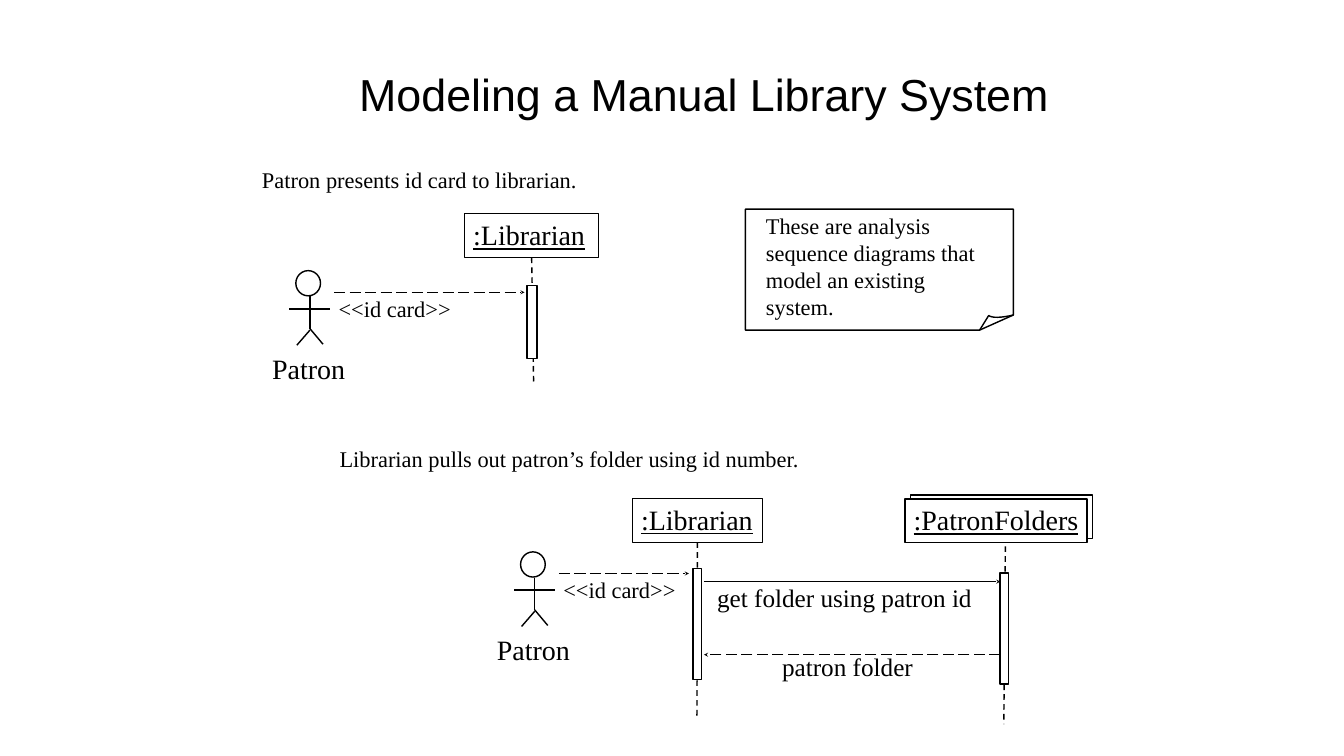
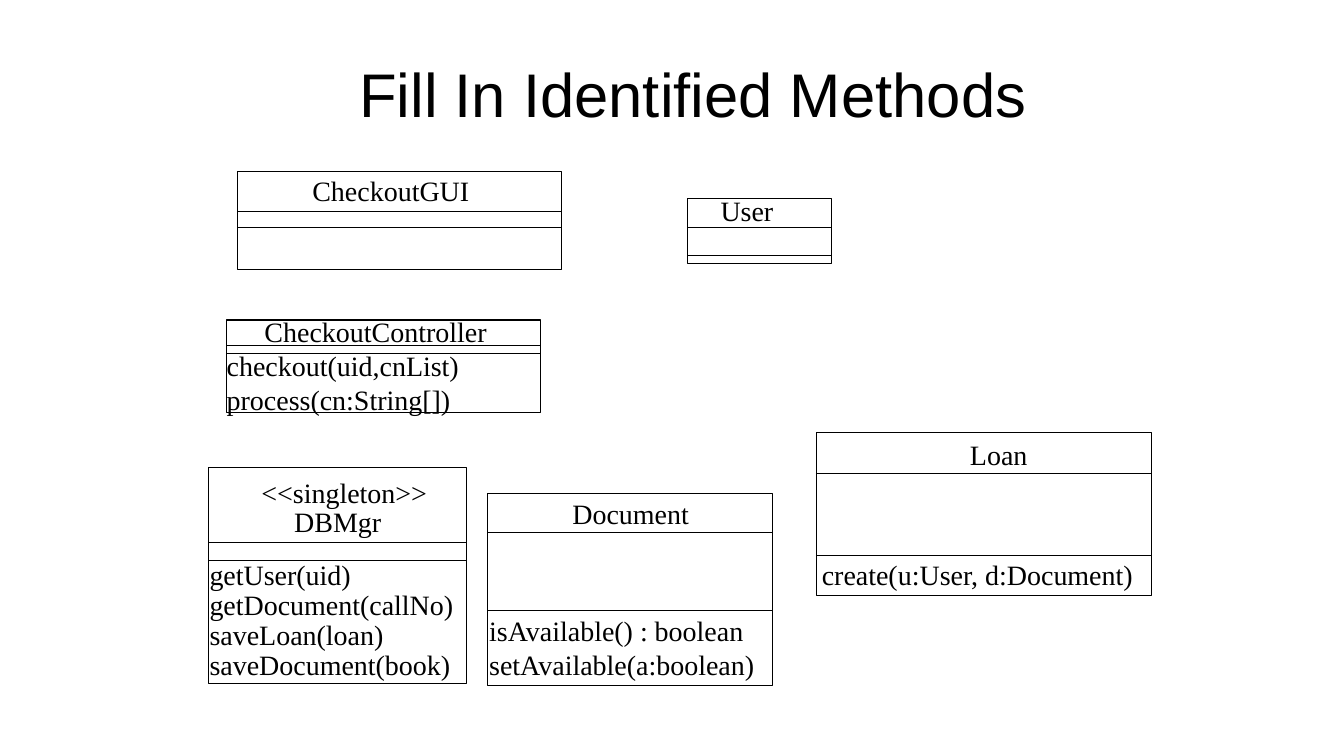
from pptx import Presentation
from pptx import util as u
from pptx.dml.color import RGBColor
from pptx.enum import dml, shapes, text
from pptx.oxml import ns
from lxml import etree

COLORS = {"ink": "000000", "paper": "FFFFFF"}
TITLE_FONT = "Arial"
BODY_FONT = "Times New Roman"
TITLE_BOX = (7.03, 0.6, 15.3, 2.5)
DASH = dml.MSO_LINE.DASH
LONG_DASH = dml.MSO_LINE.LONG_DASH

CLASSES = [
    {"box": (13.64, 3.94, 2.86, 1.29), "dividers": (0.57, 1.13),
     "labels": [("User", (0.56, -0.2, 1.26, 0.83), {})]},
    {"box": (9.67, 9.79, 5.66, 3.81), "dividers": (0.77, 2.32),
     "labels": [("Document", (1.59, -0.03, 2.53, 0.83), {}),
                ("isAvailable() : boolean\nsetAvailable(a:boolean)",
                 (-0.06, 2.29, 5.7, 1.48), {"wrap": True})]},
    {"box": (16.19, 8.58, 6.65, 3.24), "dividers": (0.81, 2.44),
     "labels": [("Loan", (2.96, 0, 1.36, 0.83), {}),
                ("create(u:User, d:Document)",
                 (0.02, 2.39, 6.87, 0.83), {"wrap": True})]},
    {"box": (4.13, 9.28, 5.12, 4.28), "dividers": (1.48, 1.84),
     "labels": [("<<singleton>>", (0.96, 0.05, 3.5, 0.83), {}),
                ("DBMgr", (1.61, 0.64, 1.94, 0.83), {}),
                ("getUser(uid)\ngetDocument(callNo)\n"
                 "saveLoan(loan)\nsaveDocument(book)",
                 (-0.07, 1.75, 5.06, 2.6), {"spacing": 0.9})]},
    {"box": (4.71, 3.4, 6.43, 1.95), "dividers": (0.79, 1.12),
     "labels": [("CheckoutGUI", (1.39, -0.05, 3.33, 0.83), {})]},
    {"box": (4.5, 6.35, 6.23, 1.83), "dividers": (0.5, 0.67), "weight": 2,
     "labels": [("CheckoutController", (0.65, -0.21, 4.63, 0.83), {}),
                ("checkout(uid,cnList)\nprocess(cn:String[])",
                 (-0.1, 0.47, 4.83, 1.48), {})]},
]


def color(name):
    """Return the named palette colour."""
    return RGBColor.from_string(COLORS[name])


def inches(values):
    """Convert numbers to lengths."""
    return [u.Inches(value) for value in values]


def shifted(box, left, top):
    """Move a box by the given offsets."""
    return (box[0] + left, box[1] + top, *box[2:])


def add_text(canvas, words, box, size=40, font=BODY_FONT, inset=0.1, wrap=False,
             grow=True, middle=False, underline=None, spacing=None):
    """Write one paragraph per line of words in a text box."""
    frame = canvas.add_textbox(*inches(box)).text_frame
    frame.word_wrap = wrap
    frame.auto_size = (text.MSO_AUTO_SIZE.SHAPE_TO_FIT_TEXT if grow
                       else text.MSO_AUTO_SIZE.NONE)
    frame.vertical_anchor = text.MSO_ANCHOR.MIDDLE if middle else text.MSO_ANCHOR.TOP
    frame.margin_left = frame.margin_right = u.Inches(inset)
    frame.margin_top = frame.margin_bottom = u.Inches(inset)
    for index, line in enumerate(words.split("\n")):
        para = frame.paragraphs[0] if index == 0 else frame.add_paragraph()
        para.line_spacing = spacing
        span = para.add_run()
        span.text = line
        span.font.size = u.Pt(size)
        span.font.name = font
        span.font.underline = underline
        span.font.color.rgb = color("ink")


def style_shape(shape, fill=None, weight=2):
    """Give a shape its outline and optional fill."""
    shape.shadow.inherit = False
    if fill:
        shape.fill.solid()
        shape.fill.fore_color.rgb = color(fill)
    else:
        shape.fill.background()
    shape.line.color.rgb = color("ink")
    shape.line.width = u.Pt(weight)
    return shape


def add_block(canvas, box, fill=None, weight=2, kind=shapes.MSO_SHAPE.RECTANGLE):
    """Draw a preset shape in a box."""
    return style_shape(canvas.add_shape(kind, *inches(box)), fill, weight)


def add_line(canvas, start, end, weight=2, dash=None, arrow=False):
    """Draw a straight connector."""
    line = canvas.add_connector(shapes.MSO_CONNECTOR.STRAIGHT, *inches(start + end))
    line.line.color.rgb = color("ink")
    line.line.width = u.Pt(weight)
    if dash:
        line.line.dash_style = dash
    properties = line.element.spPr
    if arrow:
        outline = properties.find(ns.qn("a:ln"))
        etree.SubElement(outline, ns.qn("a:tailEnd"), type="stealth")
    etree.SubElement(properties, ns.qn("a:effectLst"))
    return line


def add_outline(canvas, points, close):
    """Draw a freeform through the points."""
    start, *rest = [inches(point) for point in points]
    builder = canvas.build_freeform(*start)
    builder.add_line_segments(rest, close=close)
    style_shape(builder.convert_to_shape())


def add_title(page, words, size):
    """Write the slide title."""
    add_text(page.shapes, words, TITLE_BOX, size=size, font=TITLE_FONT,
             wrap=True, grow=False, middle=True)


def add_caption(page, words, box):
    """Write the sentence above a sequence diagram."""
    add_text(page.shapes, words, box, size=32, middle=True)


def add_patron(canvas, left, top, reach):
    """Draw the patron figure and the id card message up to reach."""
    add_block(canvas, (left, top, 0.49, 0.5), kind=shapes.MSO_SHAPE.OVAL)
    limbs = [(-0.13, 0.76, 0.68, 0.76), (0.28, 0.51, 0.28, 1.16),
             (0.28, 1.18, 0.02, 1.48), (0.28, 1.15, 0.54, 1.46)]
    for x1, y1, x2, y2 in limbs:
        add_line(canvas, (left + x1, top + y1), (left + x2, top + y2))
    add_text(canvas, "Patron", (left - 0.47, top + 1.61, 1.46, 0.63), inset=0)
    add_line(canvas, (left + 0.76, top + 0.43), (reach, top + 0.43),
             dash=LONG_DASH, arrow=True)
    add_text(canvas, "<<id card>>", (left + 0.85, top + 0.48, 2.24, 0.5),
             size=32, inset=0)


def add_participant(canvas, name, box, bar, foot, neck=None, fill=None):
    """Draw a named object, its lifeline to foot and its activation bar."""
    left, top, width, height = box
    head = add_block(canvas, box, fill)
    add_text(canvas, name, (left + 0.17, top + 0.08, width - 0.33, 0.63),
             inset=0, underline=True)
    lifeline = add_line(canvas, neck or (left + width / 2, top + height), foot, dash=DASH)
    if neck is None:
        lifeline.begin_connect(head, 2)
    add_block(canvas, bar, "paper")


def add_note(canvas, box):
    """Draw the note with its folded corner."""
    left, top, width, height = box
    right, bottom = left + width, top + height
    fold_left, fold_top = right - 0.67, bottom - 0.3
    add_text(canvas, "These are analysis sequence diagrams that model an existing system.",
             (left + 0.31, top + 0.01, 4.5, 2.24), size=32, wrap=True, middle=True)
    add_outline(canvas, [(left, top), (left, bottom), (fold_left, bottom),
                         (right, fold_top), (right, top)], True)
    controls = [(0.18, 0.01), (0.24, 0.06), (0.42, 0.06), (0.67, 0)]
    curve = []
    for step in range(9):
        t = step / 8
        weights = ((1 - t) ** 3, 3 * t * (1 - t) ** 2, 3 * t * t * (1 - t), t ** 3)
        x, y = (sum(w * p[axis] for w, p in zip(weights, controls)) for axis in (0, 1))
        curve.append((fold_left + x, fold_top + y))
    add_outline(canvas, [(fold_left, bottom), *curve], False)


def add_class(canvas, box, dividers, labels, weight=1):
    """Draw a class box with its dividers, name and methods."""
    left, top, width, _ = box
    add_block(canvas, box, weight=weight)
    for offset in dividers:
        add_line(canvas, (left, top + offset), (left + width, top + offset), weight)
    for words, place, options in labels:
        add_text(canvas, words, shifted(place, left, top), **options)


def add_card_diagram(canvas, left, top):
    """Draw the patron handing the id card to the librarian."""
    add_participant(canvas, ":Librarian", (left + 3.81, top, 2.66, 0.87),
                    (left + 5.05, top + 1.42, 0.2, 1.45), (left + 5.18, top + 3.39))
    add_patron(canvas, left + 0.46, top + 1.13, left + 5)


def add_folder_diagram(canvas, left, top):
    """Draw the librarian fetching the patron's folder."""
    add_block(canvas, (left + 8.23, top, 3.61, 0.87))
    add_participant(canvas, ":Librarian", (left + 2.71, top + 0.07, 2.58, 0.87),
                    (left + 3.91, top + 1.46, 0.17, 2.2), (left + 3.99, top + 4.46))
    add_patron(canvas, left + 0.49, top + 1.13, left + 3.83)
    add_participant(canvas, ":PatronFolders", (left + 8.12, top + 0.08, 3.61, 0.87),
                    (left + 10, top + 1.55, 0.17, 2.2), (left + 10.08, top + 4.55),
                    neck=(left + 10.11, top + 1.02), fill="paper")
    near, far = left + 4.13, left + 10.01
    add_line(canvas, (near, top + 1.72), (far, top + 1.72), arrow=True)
    add_text(canvas, "get folder using patron id", (left + 4.39, top + 1.74, 5.31, 0.56),
             size=36, inset=0, wrap=True)
    add_line(canvas, (far, top + 3.17), (near, top + 3.17), dash=LONG_DASH, arrow=True)
    add_text(canvas, "patron folder", (left + 5.68, top + 3.1, 2.61, 0.56),
             size=36, inset=0)


def add_sequence_slide(page):
    """Fill the slide with the two sequence diagrams."""
    add_title(page, "Modeling a Manual Library System", 64)
    add_caption(page, "Patron presents id card to librarian.", (5.1, 3.21, 6.46, 0.7))
    add_card_diagram(page.shapes.add_group_shape().shapes, 5.41, 4.24)
    add_caption(page, "Librarian pulls out patron’s folder using id number.",
                (6.64, 8.75, 9.32, 0.7))
    add_folder_diagram(page.shapes.add_group_shape().shapes, 9.84, 9.82)
    add_note(page.shapes.add_group_shape().shapes, (14.79, 4.15, 5.32, 2.4))


def add_class_slide(page):
    """Fill the slide with the class boxes."""
    add_title(page, "Fill In Identified Methods", 88)
    for item in CLASSES:
        add_class(page.shapes, **item)


def main():
    """Build and save the deck."""
    deck = Presentation()
    deck.slide_width, deck.slide_height = u.Inches(26.67), u.Inches(15)
    for fill_page in (add_sequence_slide, add_class_slide):
        page = deck.slides.add_slide(deck.slide_layouts[6])
        page.background.fill.solid()
        page.background.fill.fore_color.rgb = color("paper")
        fill_page(page)
    deck.save("out.pptx")


if __name__ == "__main__":
    main()
